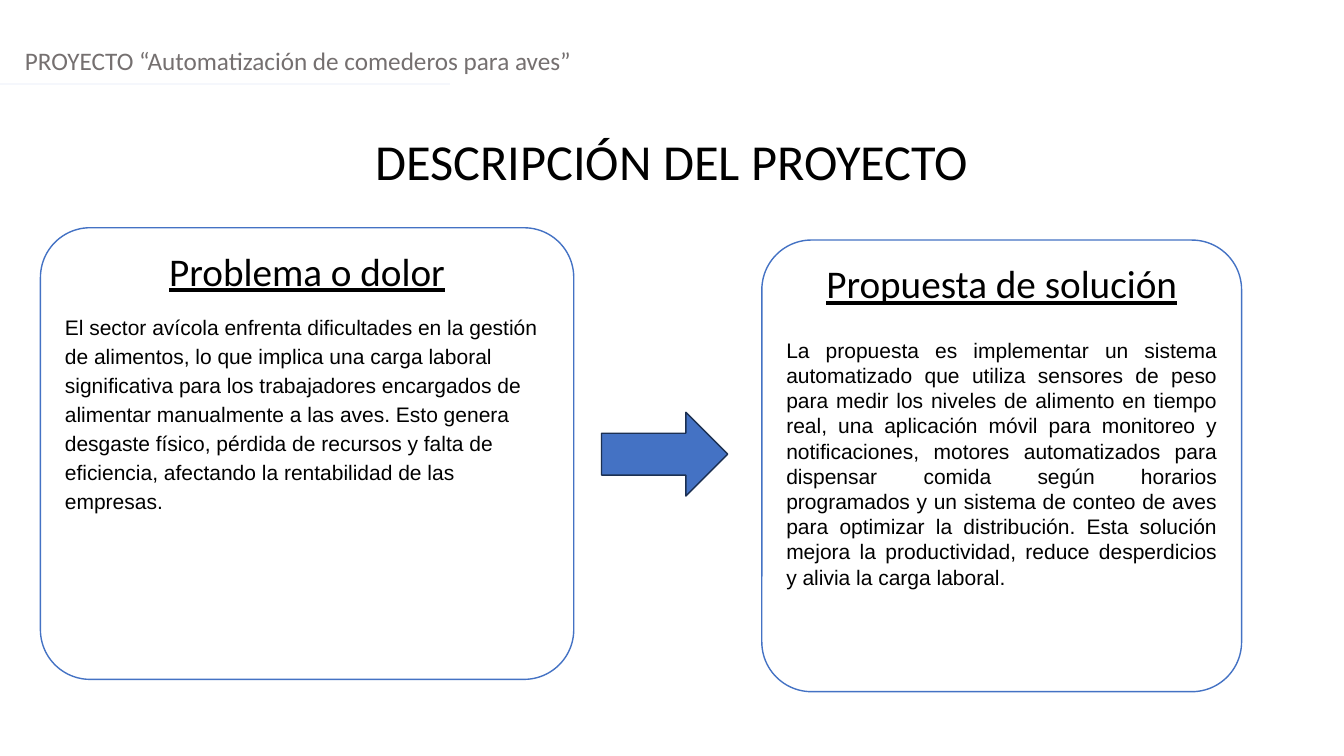
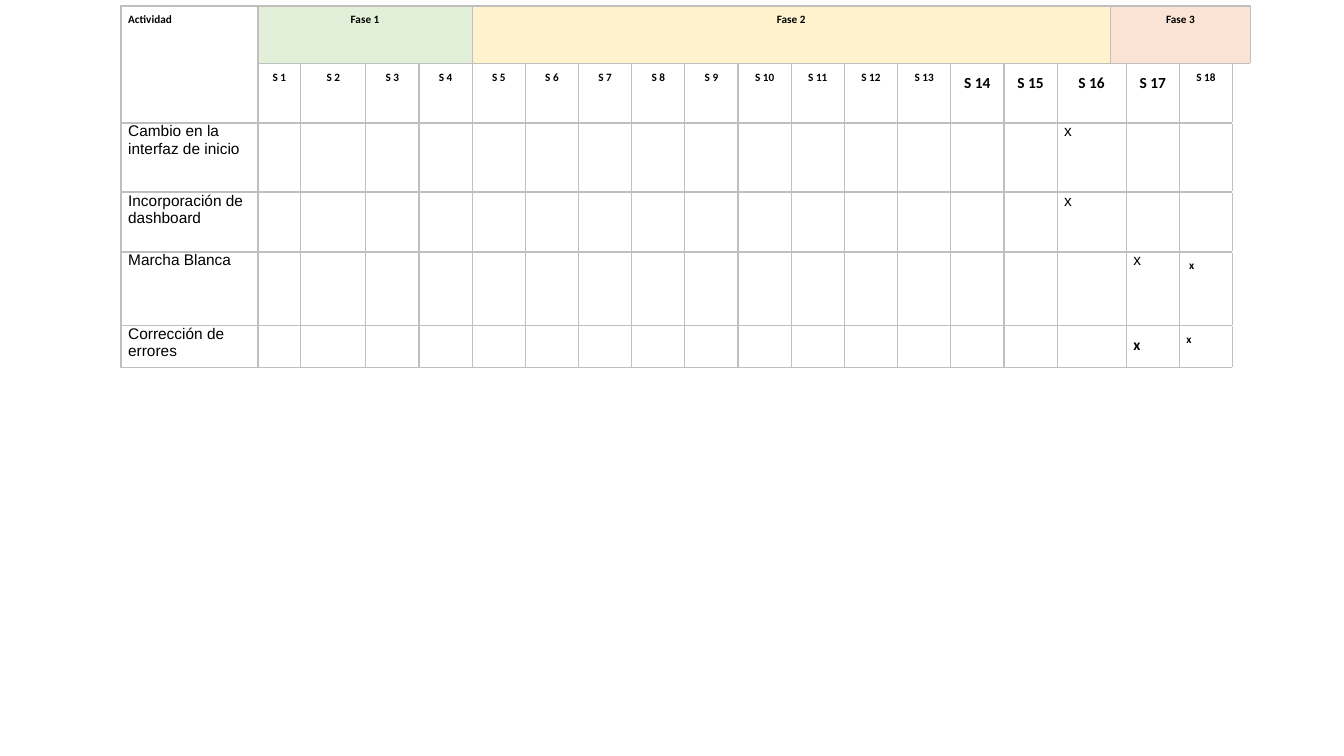
"""Build a two-slide project summary: problem and solution, then the schedule."""

import dataclasses

import lxml.etree
import pptx
import pptx.dml.color
import pptx.enum.shapes
import pptx.enum.text
import pptx.oxml.ns
import pptx.util

Cm = pptx.util.Cm
Pt = pptx.util.Pt
ALIGN = pptx.enum.text.PP_ALIGN
SHAPE = pptx.enum.shapes.MSO_SHAPE


@dataclasses.dataclass(frozen=True)
class Theme:
    """Colours, fonts and type sizes shared by the slides."""

    black: str = "000000"
    white: str = "FFFFFF"
    grey: str = "757070"
    pale: str = "F5F7FC"
    blue: str = "4472C4"
    navy: str = "1C3052"
    border: str = "BFBFBF"
    phases: tuple = ("E2EFD9", "FFF2CC", "FBE4D5")
    heading_font: str = "Calibri"
    body_font: str = "Arial"
    title: int = 36
    subtitle: int = 28
    header: int = 18
    body: int = 15
    cell: int = 11
    small: int = 8


THEME = Theme()
WIDTH, HEIGHT = 33.87, 19.05
HEADING = {"name": THEME.heading_font}
BODY = {"name": THEME.body_font}
CENTER = {"alignment": ALIGN.CENTER}
JUSTIFY = {"alignment": ALIGN.JUSTIFY}
LEFT = {"alignment": ALIGN.LEFT}

PROBLEM = (
    "El sector avícola enfrenta dificultades en la gestión de alimentos, lo que implica "
    "una carga laboral significativa para los trabajadores encargados de alimentar "
    "manualmente a las aves. Esto genera desgaste físico, pérdida de recursos y falta de "
    "eficiencia, afectando la rentabilidad de las empresas."
)
SOLUTION = (
    "La propuesta es implementar un sistema automatizado que utiliza sensores de peso para "
    "medir los niveles de alimento en tiempo real, una aplicación móvil para monitoreo y "
    "notificaciones, motores automatizados para dispensar comida según horarios programados "
    "y un sistema de conteo de aves para optimizar la distribución. Esta solución mejora la "
    "productividad, reduce desperdicios y alivia la carga laboral."
)

COLUMN_WIDTHS = [3.45, 1.08, 1.64] + [1.34] * 14 + [0.4, 1.34, 1.34, 0.4]
ROW_HEIGHTS = [1.46, 1.49, 1.74, 1.51, 1.86, 1.06]
PHASE_SPANS = [(1, 4), (5, 16), (17, 20)]
WEEK_COLUMNS = [*range(1, 17), 18, 19]
LARGE_WEEKS = range(14, 18)
ACTIVITIES = [
    "Cambio en la interfaz de inicio",
    "Incorporación de dashboard",
    "Marcha Blanca",
    "Corrección de errores",
]


def rgb(color):
    """Return a colour object for a hex string."""
    return pptx.dml.color.RGBColor.from_string(color)


def apply(obj, formats):
    """Set every attribute named in a dict of format values."""
    for name, value in formats.items():
        setattr(obj, name, value)


def write(p, text, size, font, para, color=THEME.black):
    """Put one formatted run into a paragraph."""
    apply(p, para)
    r = p.add_run()
    r.text = text
    apply(r.font, {"size": Pt(size), **font})
    r.font.color.rgb = rgb(color)


def set_frame(tf):
    """Give a text frame wrapping, a fixed size and top anchoring."""
    apply(tf, {
        "word_wrap": True,
        "auto_size": pptx.enum.text.MSO_AUTO_SIZE.NONE,
        "vertical_anchor": pptx.enum.text.MSO_ANCHOR.TOP,
    })


def add_header(s, text):
    """Add the project header and its thin rule."""
    sp = s.shapes.add_textbox(Cm(0.38), Cm(1.02), Cm(33.4), Cm(1.8))
    set_frame(sp.text_frame)
    write(sp.text_frame.paragraphs[0], text, THEME.header, HEADING, LEFT, THEME.grey)
    line = s.shapes.add_connector(
        pptx.enum.shapes.MSO_CONNECTOR.STRAIGHT, 0, Cm(2.11), Cm(11.35), Cm(2.11)
    )
    line.line.color.rgb = rgb(THEME.pale)
    line.line.width = Pt(1.25)
    lxml.etree.SubElement(line._element.spPr, pptx.oxml.ns.qn("a:effectLst"))


def set_title(s, text):
    """Place and format the title placeholder."""
    sp = s.shapes.title
    apply(sp, {"left": 0, "top": Cm(3.15), "width": Cm(WIDTH), "height": Cm(1.8)})
    set_frame(sp.text_frame)
    write(sp.text_frame.paragraphs[0], text, THEME.title, HEADING, CENTER)


def add_shape(s, kind, box, fill, line):
    """Add a flat preset shape at a box given in centimetres."""
    sp = s.shapes.add_shape(kind, *map(Cm, box))
    sp.shadow.inherit = False
    sp.fill.solid()
    sp.fill.fore_color.rgb = rgb(fill)
    sp.line.color.rgb = rgb(line)
    sp.line.width = Pt(1)
    return sp


def add_card(s, box, heading, text, para):
    """Add a rounded card with an underlined heading and a body paragraph."""
    sp = add_shape(s, SHAPE.ROUNDED_RECTANGLE, box, THEME.white, THEME.blue)
    sp.adjustments[0] = 0.11
    tf = sp.text_frame
    set_frame(tf)
    write(tf.paragraphs[0], heading, THEME.subtitle, {**HEADING, "underline": True}, CENTER)
    write(tf.add_paragraph(), text, THEME.body, BODY, para)


def set_borders(cell, sides):
    """Draw the named sides (L, R, T, B) of a table cell."""
    tc_pr = cell._tc.get_or_add_tcPr()
    qn = pptx.oxml.ns.qn
    for side in sides:
        ln = lxml.etree.SubElement(tc_pr, qn(f"a:ln{side}"), w=str(Pt(1)))
        fill = lxml.etree.SubElement(ln, qn("a:solidFill"))
        lxml.etree.SubElement(fill, qn("a:srgbClr"), val=THEME.border)


def add_grid(s):
    """Add the empty bordered schedule table and return it."""
    frame = s.shapes.add_table(
        len(ROW_HEIGHTS), len(COLUMN_WIDTHS), Cm(3.05), Cm(0.15),
        Cm(sum(COLUMN_WIDTHS)), Cm(sum(ROW_HEIGHTS)),
    )
    table = frame.table
    apply(table, {"first_row": False, "horz_banding": False})
    for column, width in zip(table.columns, COLUMN_WIDTHS):
        column.width = Cm(width)
    last = len(COLUMN_WIDTHS) - 1
    for i, height in enumerate(ROW_HEIGHTS):
        table.rows[i].height = Cm(height)
        for j in range(last + 1):
            cell = table.cell(i, j)
            edge = "LT" if i == 1 else "L"
            set_borders(cell, edge if j == last and i else "LRTB")
            cell.fill.background()
            apply(cell, {
                "margin_left": Cm(0.18), "margin_right": Cm(0.18),
                "margin_top": 0, "margin_bottom": 0,
            })
    return table


def write_label(cell, text, size=THEME.small, para=CENTER):
    """Write a bold, widely spaced label in a cell."""
    p = cell.text_frame.paragraphs[0]
    write(p, text, size, {**HEADING, "bold": True}, {**para, "line_spacing": 1.5})


def write_plain(cell, text):
    """Write plain body text in a cell."""
    write(cell.text_frame.paragraphs[0], text, THEME.cell, BODY, LEFT)


def fill_schedule(table):
    """Merge and fill the phases, weeks, activities and marks."""
    table.cell(0, 0).merge(table.cell(1, 0))
    write_label(table.cell(0, 0), "Actividad", para=JUSTIFY)
    for n, ((first, last), color) in enumerate(zip(PHASE_SPANS, THEME.phases), 1):
        cell = table.cell(0, first)
        cell.merge(table.cell(0, last))
        cell.fill.solid()
        cell.fill.fore_color.rgb = rgb(color)
        write_label(cell, f"Fase {n}")
    for i in range(1, len(ROW_HEIGHTS)):
        table.cell(i, 16).merge(table.cell(i, 17))
    for week, column in enumerate(WEEK_COLUMNS, 1):
        size = THEME.cell if week in LARGE_WEEKS else THEME.small
        write_label(table.cell(1, column), f"S {week}", size)
    for i, activity in enumerate(ACTIVITIES, 2):
        write_plain(table.cell(i, 0), activity)
    for i, j in [(2, 16), (3, 16), (4, 18)]:
        write_plain(table.cell(i, j), "x")
    for i, j, size in [(4, 19, THEME.small), (5, 18, THEME.cell), (5, 19, THEME.small)]:
        write_label(table.cell(i, j), "x", size, JUSTIFY)
    table.cell(4, 19).margin_left = Cm(0.25)


def build_description(prs):
    """Build the problem and solution slide."""
    s = prs.slides.add_slide(prs.slide_layouts[5])
    add_header(s, "PROYECTO “Automatización de comederos para aves”")
    set_title(s, "DESCRIPCIÓN DEL PROYECTO")
    add_card(s, (1.02, 5.74, 13.44, 11.38), "Problema o dolor", PROBLEM,
             {**LEFT, "line_spacing": 1.15, "space_before": Pt(12)})
    add_card(s, (19.2, 6.05, 12.09, 11.38), "Propuesta de solución", SOLUTION,
             {**JUSTIFY, "space_before": Pt(22)})
    add_shape(s, SHAPE.RIGHT_ARROW, (15.16, 10.39, 3.18, 2.11), THEME.blue, THEME.navy)


def build_schedule(prs):
    """Build the schedule slide."""
    s = prs.slides.add_slide(prs.slide_layouts[6])
    fill_schedule(add_grid(s))


def main():
    """Create and save the presentation."""
    prs = pptx.Presentation()
    apply(prs, {"slide_width": Cm(WIDTH), "slide_height": Cm(HEIGHT)})
    build_description(prs)
    build_schedule(prs)
    prs.save("out.pptx")


if __name__ == "__main__":
    main()
